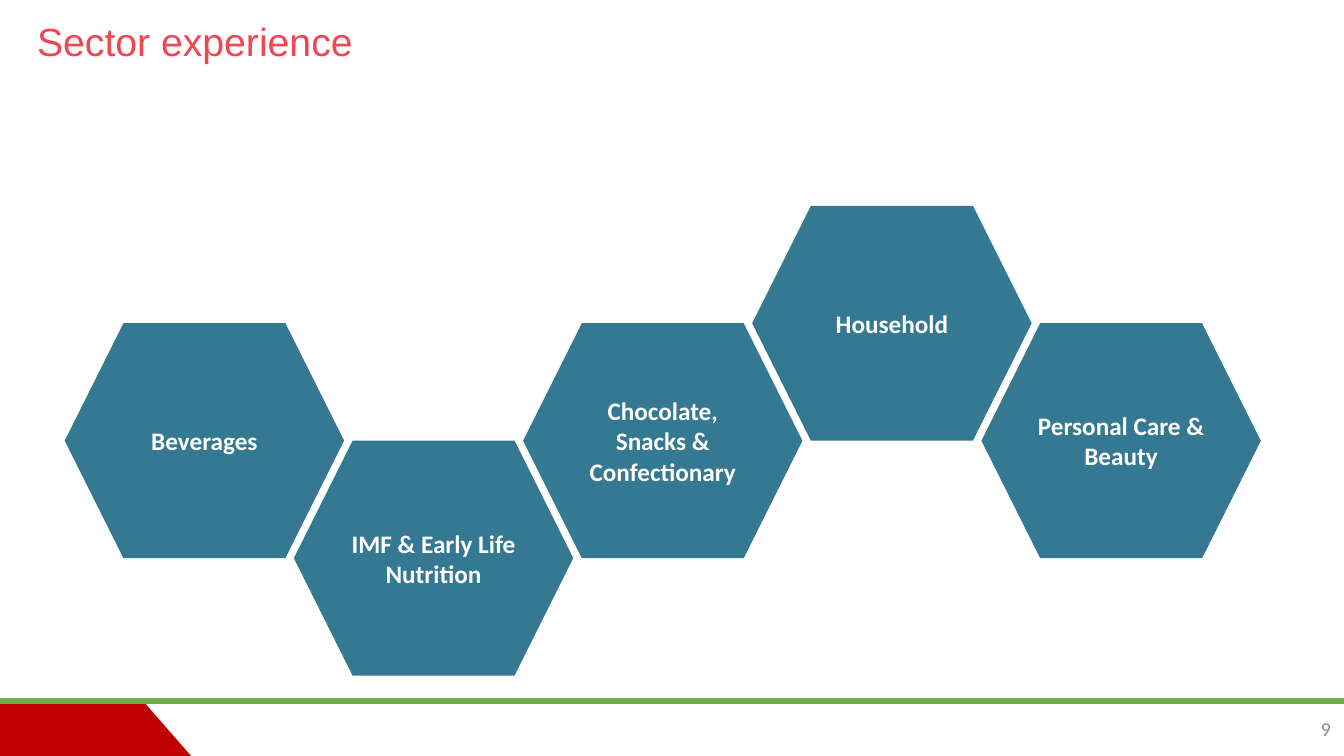
from dataclasses import dataclass

from lxml import etree
from pptx import Presentation
from pptx import util as u
from pptx.dml.color import RGBColor
from pptx.enum import shapes, text
from pptx.oxml.ns import qn
from pptx.shapes.autoshape import Shape
from pptx.slide import Slide

WHITE = RGBColor(0xFF, 0xFF, 0xFF)
CORAL = RGBColor(0xEF, 0x47, 0x51)
TEAL = RGBColor(0x34, 0x78, 0x91)
RED = RGBColor(0xC0, 0x00, 0x00)
GREEN = RGBColor(0x70, 0xAD, 0x47)
GREY = RGBColor(0x8C, 0x8C, 0x8C)

SLIDE_WIDTH, SLIDE_HEIGHT = 960, 540
FOOTER_TOP = 500.5
HEXAGON_WIDTH, HEXAGON_HEIGHT = 199.6, 167.8
COLUMN_STEP, ROW_STEP = 163.7, HEXAGON_HEIGHT / 2
FIRST_LEFT, MIDDLE_TOP = 46.2, 230.9


@dataclass(frozen=True)
class Sector:
    name: str
    row: int  # half-heights below the middle row


SECTORS = [
    Sector("Beverages", 0),
    Sector("IMF & Early Life Nutrition", 1),
    Sector("Chocolate, Snacks & Confectionary", 0),
    Sector("Household", -1),
    Sector("Personal Care & Beauty", 0),
]


def write_text(shape: Shape, words: str, *, size: float, color: RGBColor,
               font: str = "Calibri", bold: bool = False,
               align: text.PP_ALIGN = text.PP_ALIGN.LEFT,
               line_spacing: float = 1.0) -> None:
    frame = shape.text_frame
    frame.word_wrap = True
    frame.vertical_anchor = text.MSO_ANCHOR.MIDDLE
    paragraph = frame.paragraphs[0]
    paragraph.alignment = align
    paragraph.line_spacing = line_spacing
    run = paragraph.add_run()
    run.text = words
    run.font.name = font
    run.font.size = u.Pt(size)
    run.font.bold = bold
    run.font.color.rgb = color


def add_text_box(slide: Slide, left: float, top: float, width: float,
                 height: float) -> Shape:
    return slide.shapes.add_textbox(u.Pt(left), u.Pt(top), u.Pt(width), u.Pt(height))


def paint(shape: Shape, color: RGBColor) -> None:
    """Give the shape a flat fill with no outline or shadow."""
    shape.shadow.inherit = False
    shape.fill.solid()
    shape.fill.fore_color.rgb = color
    shape.line.fill.background()


def add_footer(slide: Slide) -> None:
    builder = slide.shapes.build_freeform(0, u.Pt(FOOTER_TOP))
    corners = [(102, FOOTER_TOP), (136.5, SLIDE_HEIGHT), (0, SLIDE_HEIGHT)]
    builder.add_line_segments([(u.Pt(x), u.Pt(y)) for x, y in corners])
    paint(builder.convert_to_shape(), RED)

    rule = slide.shapes.add_connector(
        shapes.MSO_CONNECTOR.STRAIGHT,
        0, u.Pt(FOOTER_TOP), u.Pt(SLIDE_WIDTH), u.Pt(FOOTER_TOP))
    rule.line.color.rgb = GREEN
    rule.line.width = u.Pt(4.5)
    etree.SubElement(rule._element.spPr, qn("a:effectLst"))

    number = add_text_box(slide, 925.2, 506.2, 32.4, 28.8)
    write_text(number, "9", size=14, color=GREY, align=text.PP_ALIGN.RIGHT)


def add_sector(slide: Slide, sector: Sector, column: int) -> None:
    hexagon = slide.shapes.add_shape(
        shapes.MSO_SHAPE.HEXAGON,
        u.Pt(FIRST_LEFT + column * COLUMN_STEP),
        u.Pt(MIDDLE_TOP + sector.row * ROW_STEP),
        u.Pt(HEXAGON_WIDTH), u.Pt(HEXAGON_HEIGHT))
    paint(hexagon, TEAL)
    frame = hexagon.text_frame
    frame.margin_top = frame.margin_bottom = u.Pt(7.2)
    write_text(hexagon, sector.name, size=18, color=WHITE, bold=True,
               align=text.PP_ALIGN.CENTER)


def main() -> None:
    presentation = Presentation()
    presentation.slide_width = u.Pt(SLIDE_WIDTH)
    presentation.slide_height = u.Pt(SLIDE_HEIGHT)
    slide = presentation.slides.add_slide(presentation.slide_layouts[6])

    add_footer(slide)
    title = add_text_box(slide, 19.4, 15.1, 920.2, 32.4)
    write_text(title, "Sector experience", size=28, color=CORAL, font="Arial",
               line_spacing=0.9)
    for column, sector in enumerate(SECTORS):
        add_sector(slide, sector, column)

    presentation.save("out.pptx")


if __name__ == "__main__":
    main()
